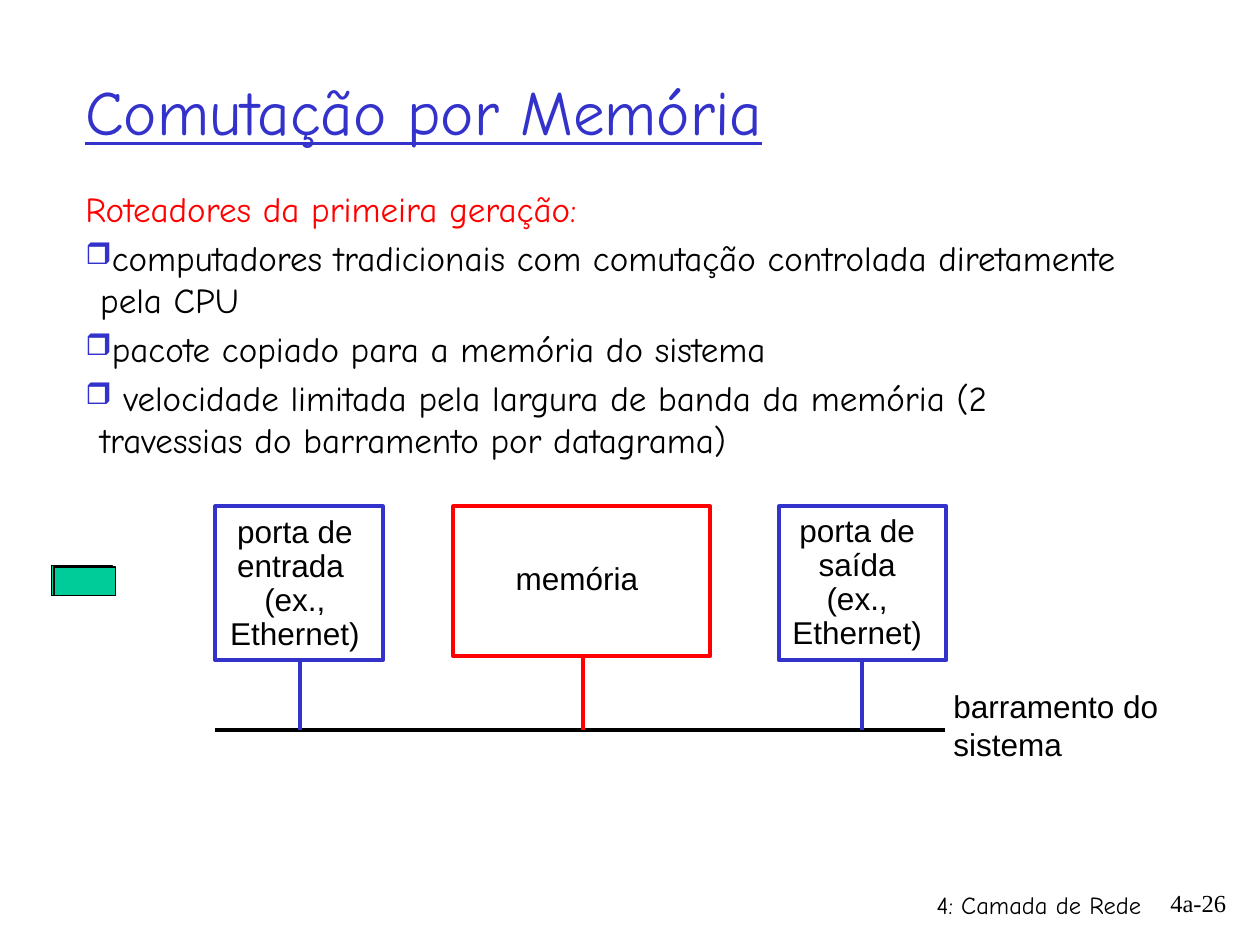
from lxml.etree import SubElement
from pptx import Presentation
from pptx.dml.color import RGBColor
from pptx.enum.shapes import MSO_CONNECTOR, MSO_SHAPE
from pptx.enum.text import MSO_ANCHOR, MSO_AUTO_SIZE, PP_ALIGN
from pptx.oxml.ns import qn
from pptx.util import Cm, Pt

HUES = {"blue": "3333CC", "red": "FF0000", "black": "000000",
        "white": "FFFFFF", "green": "00CC99"}
HAND, SANS, SERIF = "Comic Neue", "Arial", "Times New Roman"
LEFT, MID, RIGHT = PP_ALIGN.LEFT, PP_ALIGN.CENTER, PP_ALIGN.RIGHT

# Content; all lengths in cm
TITLE = "Comutação por Memória"
HEAD = "Roteadores da primeira geração:"
ITEMS = [
    "computadores tradicionais com comutação controlada diretamente pela CPU",
    "pacote copiado para a memória do sistema",
    " velocidade limitada pela largura de banda da memória "
    "(2 travessias do barramento por datagrama)",
]
FOOT = [  # text, font, place
    ("4: Camada de Rede", HAND, (15.21, 17.81, 8.05, 1.27)),
    ("4a-26", SERIF, (22.68, 17.78, 2.29, 1.27)),
]
TOP, BUS = 10.21, 14.71
UNITS = [  # left, width, height, colour, fill, stem x, label lines, label place
    (4.34, 3.38, 3.1, "blue", "white", 6.05,
     ["porta de", "entrada ", "(ex.,", "Ethernet)"], (4.37, 10.29, 3.15, 3.02)),
    (9.14, 5.18, 3.02, "red", None, 11.76,
     ["memória"], (10.13, 11.23, 3, 0.94)),
    (15.7, 3.38, 3.1, "blue", "white", 17.37,
     ["porta de", "saída", "(ex.,", "Ethernet)"], (15.72, 10.26, 3.12, 3)),
]
NOTE = ["barramento do", "sistema"]
PACKET = [(1.04, 11.4, 1.22, 0.61), (1.09, 11.43, 1.24, 0.58)]

deck = Presentation()
deck.slide_width, deck.slide_height = Cm(25.4), Cm(19.05)
slide = deck.slides.add_slide(deck.slide_layouts[6])


def rgb(hue):
    return RGBColor.from_string(HUES[hue])


def frame(place, wrap=True):
    text = slide.shapes.add_textbox(*map(Cm, place)).text_frame
    text.word_wrap = wrap
    if not wrap:
        text.auto_size = MSO_AUTO_SIZE.SHAPE_TO_FIT_TEXT
    return text


def write(para, words, size, face, hue="black", align=LEFT):
    para.alignment = align
    run = para.add_run()
    run.text = words
    run.font.size, run.font.name = Pt(size), face
    run.font.color.rgb = rgb(hue)
    return run


def lines(text, rows, align=LEFT, space=None):
    for i, row in enumerate(rows):
        para = text.add_paragraph() if i else text.paragraphs[0]
        para.line_spacing = space
        write(para, row, 18, SANS, align=align)


def hang(para, mark):
    props = para._p.get_or_add_pPr()
    props.set("marL", str(Cm(0.3)))
    props.set("indent", str(-Cm(0.3)))
    if mark:
        color = SubElement(props, qn("a:buClr"))
        SubElement(color, qn("a:srgbClr"), val=HUES["blue"])
        SubElement(props, qn("a:buSzPct"), val="85000")
        SubElement(props, qn("a:buChar"), char="❒")


def box(place, fill, hue, width):
    rect = slide.shapes.add_shape(MSO_SHAPE.RECTANGLE, *map(Cm, place))
    rect.shadow.inherit = False
    if fill:
        rect.fill.solid()
        rect.fill.fore_color.rgb = rgb(fill)
    else:
        rect.fill.background()
    rect.line.color.rgb = rgb(hue)
    rect.line.width = Pt(width)


def wire(ends, hue):
    line = slide.shapes.add_connector(MSO_CONNECTOR.STRAIGHT, *map(Cm, ends))
    line.line.color.rgb = rgb(hue)
    line.line.width = Pt(2.25)
    SubElement(line._element.spPr, qn("a:effectLst"))


# Title
text = frame((1.47, 0.64, 21.59, 3.18))
text.vertical_anchor = MSO_ANCHOR.MIDDLE
write(text.paragraphs[0], TITLE, 36, HAND, "blue").font.underline = True

# Heading and bullets
text = frame((1.47, 3.66, 21.59, 12.9))
hang(text.paragraphs[0], False)
write(text.paragraphs[0], HEAD, 20, HAND, "red")
for item in ITEMS:
    para = text.add_paragraph()
    hang(para, True)
    para.space_before = Pt(4)
    write(para, item, 20, HAND)

# Footer
for words, face, place in FOOT:
    write(frame(place).paragraphs[0], words, 14, face, align=RIGHT)

# Ports and memory on the system bus
wire((4.34, BUS, 19.05, BUS), "black")
for left, width, high, hue, fill, stem, rows, place in UNITS:
    box((left, TOP, width, high), fill, hue, 2.25)
    lines(frame(place, False), rows, MID, 0.9)
    wire((stem, TOP + high, stem, BUS), hue)
lines(frame((18.97, 13.72, 4.67, 1.8), False), NOTE)

# Packet
for place in PACKET:
    box(place, "green", "black", 0.75)

deck.save("out.pptx")
